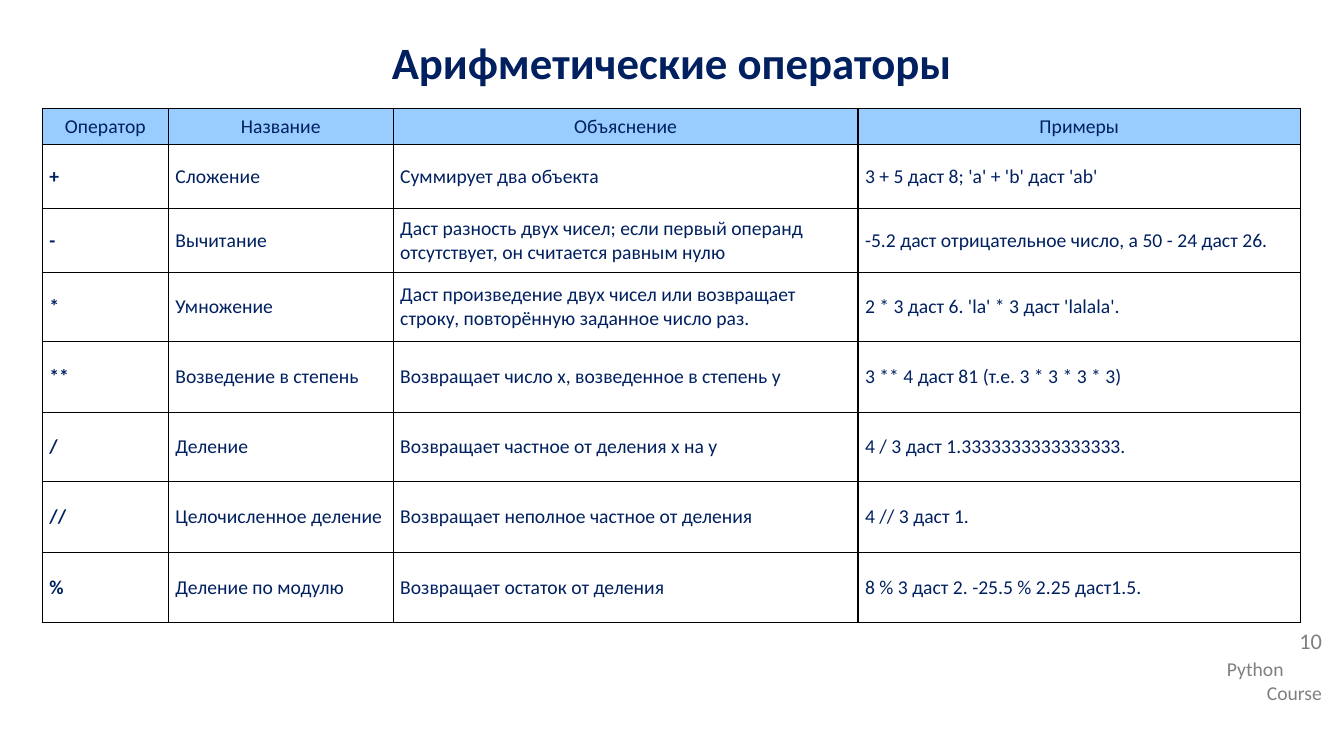
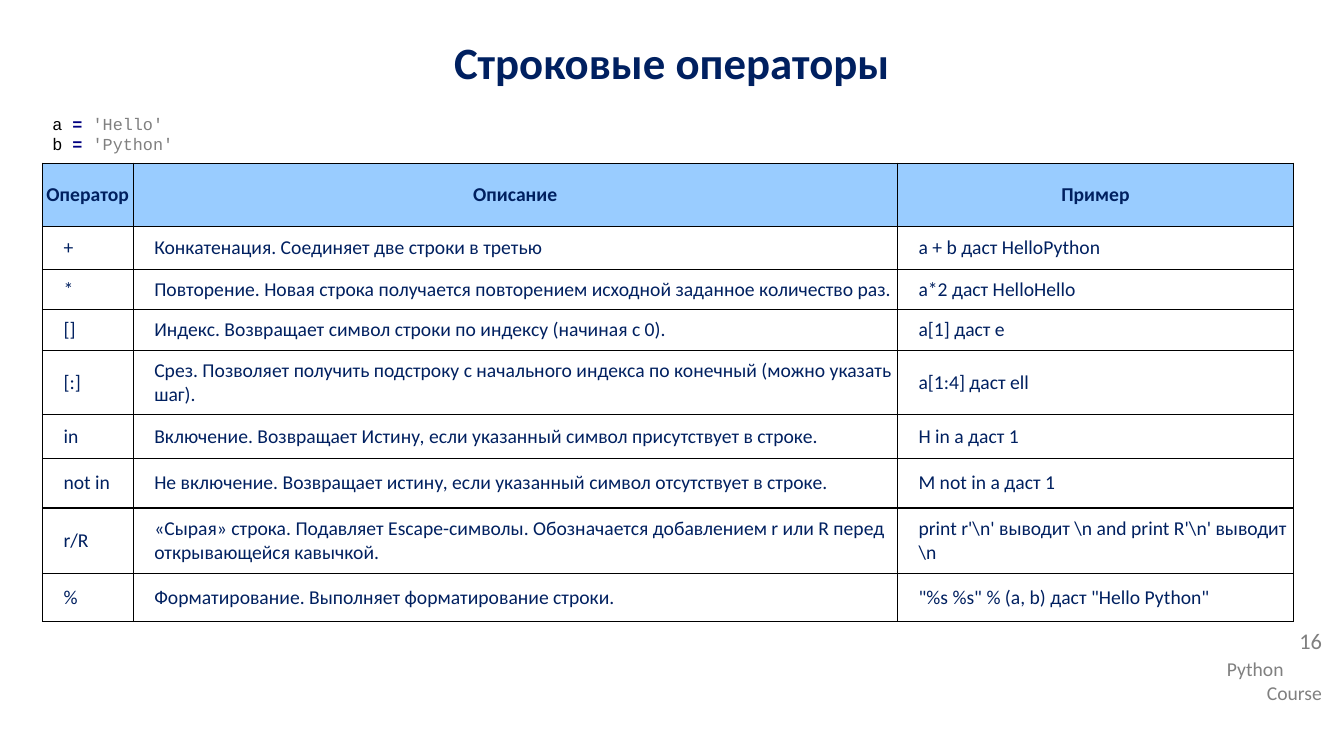
from dataclasses import dataclass

from lxml import etree
from pptx import Presentation
from pptx.dml.color import RGBColor
from pptx.enum.text import MSO_ANCHOR, PP_ALIGN
from pptx.oxml.ns import qn
from pptx.util import Pt

LEFT, MID, RIGHT = PP_ALIGN.LEFT, PP_ALIGN.CENTER, PP_ALIGN.RIGHT
TOP, HALF = MSO_ANCHOR.TOP, MSO_ANCHOR.MIDDLE
SCALE = 9144
WIDE, HIGH = 1333, 750


@dataclass(frozen=True)
class Theme:
    """Hold the colours, fonts and type sizes of the deck."""
    navy: str = "002060"
    grey: str = "808080"
    sky: str = "99CCFF"
    black: str = "000000"
    blue: str = "000080"
    sans: str = "Calibri"
    mono: str = "Courier New"
    head: int = 32
    page: int = 16
    body: int = 14
    code: int = 12
    rule: int = 1


THEME = Theme()

MATH = [
    ("Оператор", "Название", "Объяснение", "Примеры"),
    ("+", "Сложение", "Суммирует два объекта", "3 + 5 даст 8; 'a' + 'b' даст 'ab'"),
    ("-", "Вычитание",
     "Даст разность двух чисел; если первый операнд отсутствует, он считается равным нулю",
     "-5.2 даст отрицательное число, а 50 - 24 даст 26."),
    ("*", "Умножение",
     "Даст произведение двух чисел или возвращает строку, повторённую заданное число раз.",
     "2 * 3 даст 6. 'la' * 3 даст 'lalala'."),
    ("**", "Возведение в степень", "Возвращает число х, возведенное в степень y",
     "3 ** 4 даст 81 (т.е. 3 * 3 * 3 * 3)"),
    ("/", "Деление", "Возвращает частное от деления x на y",
     "4 / 3 даст 1.3333333333333333."),
    ("//", "Целочисленное деление", "Возвращает неполное частное от деления",
     "4 // 3 даст 1."),
    ("%", "Деление по модулю", "Возвращает остаток от деления",
     "8 % 3 даст 2. -25.5 % 2.25 даст1.5."),
]

TEXT = [
    ("Оператор", "Описание", "Пример"),
    ("+", "Конкатенация. Соединяет две строки в третью", "a + b даст HelloPython"),
    ("*", "Повторение. Новая строка получается повторением исходной заданное количество раз.",
     "a*2 даст HelloHello"),
    ("[]", "Индекс. Возвращает символ строки по индексу (начиная с 0).", "a[1] даст e"),
    ("[:]", "Срез. Позволяет получить подстроку с начального индекса по конечный "
     "(можно указать шаг).", "a[1:4] даст ell"),
    ("in", "Включение. Возвращает Истину, если указанный символ присутствует в строке.",
     "H in a даст 1"),
    ("not in", "Не включение. Возвращает истину, если указанный символ отсутствует в строке.",
     "M not in a даст 1"),
    ("r/R", "«Сырая» строка. Подавляет Escape-символы. Обозначается добавлением r или R "
     "перед открывающейся кавычкой.",
     r"print r'\n' выводит \n and print R'\n' выводит \n"),
    ("%", "Форматирование. Выполняет форматирование строки.",
     '"%s %s" % (a, b) даст "Hello Python"'),
]


def px(size):
    """Turn px into EMU."""
    return size * SCALE


def style(para, size, tint, face=THEME.sans, bold=False, align=LEFT):
    """Set the font and alignment of a paragraph."""
    para.alignment = align
    font = para.font
    font.name, font.size, font.bold = face, Pt(size), bold
    font.color.rgb = RGBColor.from_string(tint)


def add_box(slide, box, anchor=TOP):
    """Add a wrapped text box and return its frame."""
    frame = slide.shapes.add_textbox(*map(px, box)).text_frame
    frame.word_wrap = True
    frame.vertical_anchor = anchor
    return frame


def add_title(slide, box, text):
    """Place the slide title."""
    para = add_box(slide, box, HALF).paragraphs[0]
    para.text = text
    style(para, THEME.head, THEME.navy, bold=True, align=MID)
    para.space_before = para.space_after = Pt(5)


def add_foot(slide, box, page):
    """Place the page number and the course name below it."""
    left, top, width, _ = box
    para = add_box(slide, (left, top, width, 45)).paragraphs[0]
    para.text = str(page)
    style(para, THEME.page, THEME.grey, align=RIGHT)
    para.line_spacing = 0.9
    para.space_before = Pt(10)
    frame = add_box(slide, (left, top + 27, width, 57))
    frame.text = "Python\nCourse"
    for para, align in zip(frame.paragraphs, (LEFT, RIGHT)):
        style(para, THEME.body, THEME.grey, align=align)


def add_code(slide, box, lines):
    """Place the assignment lines with coloured parts."""
    frame = add_box(slide, box)
    for row, (name, value) in enumerate(lines):
        para = frame.add_paragraph() if row else frame.paragraphs[0]
        style(para, THEME.code, THEME.black, THEME.mono)
        parts = ((name + " ", THEME.black), ("= ", THEME.blue), (value, THEME.grey))
        for text, tint in parts:
            run = para.add_run()
            run.text = text
            run.font.color.rgb = RGBColor.from_string(tint)
            run.font.bold = tint == THEME.blue


def frame_cell(cell):
    """Draw the four borders of a cell."""
    props = cell._tc.get_or_add_tcPr()
    for side in ("lnL", "lnR", "lnT", "lnB"):
        line = etree.SubElement(props, qn("a:" + side), w=str(Pt(THEME.rule)))
        fill = etree.SubElement(line, qn("a:solidFill"))
        etree.SubElement(fill, qn("a:srgbClr"), val=THEME.black)


def fill_cell(cell, text, head, bold, pad, dent):
    """Write and style one table cell."""
    frame_cell(cell)
    cell.vertical_anchor = HALF
    cell.margin_left = cell.margin_right = px(pad)
    cell.margin_top = cell.margin_bottom = 0
    para = cell.text_frame.paragraphs[0]
    para.text = text
    style(para, THEME.body, THEME.navy, bold=bold, align=MID if head else LEFT)
    if head:
        cell.fill.solid()
        cell.fill.fore_color.rgb = RGBColor.from_string(THEME.sky)
    else:
        cell.fill.background()
        para._p.get_or_add_pPr().set("marL", str(px(dent)))


def add_grid(slide, spot, data, wide, high, strong, pad, dent=0):
    """Place a table; strong tells which cells are bold."""
    box = (*spot, sum(wide), sum(high))
    table = slide.shapes.add_table(len(high), len(wide), *map(px, box)).table
    table.first_row = table.horz_banding = False
    for col, width in zip(table.columns, wide):
        col.width = px(width)
    for row, height in zip(table.rows, high):
        row.height = px(height)
    for i, texts in enumerate(data):
        for j, text in enumerate(texts):
            fill_cell(table.cell(i, j), text, i == 0, strong(i, j), pad, dent)


def add_page(deck, title, page):
    """Add a blank slide with the shared title and footer."""
    slide = deck.slides.add_slide(deck.slide_layouts[6])
    add_foot(slide, (1207, 620, 114, 84), page)
    add_title(slide, (0, 23, WIDE, 76), title)
    return slide


def main():
    """Build and save the deck."""
    deck = Presentation()
    deck.slide_width, deck.slide_height = px(WIDE), px(HIGH)

    slide = add_page(deck, "Арифметические операторы", 10)
    add_grid(slide, (42, 108), MATH, (125, 223, 461, 439),
             (35, 64, 63, 69, 70, 69, 70, 70),
             lambda i, j: i > 0 and j == 0, pad=7)

    slide = add_page(deck, "Строковые операторы", 16)
    add_code(slide, (42, 108, 1249, 54), (("a", "'Hello'"), ("b", "'Python'")))
    add_grid(slide, (42, 162), TEXT, (90, 758, 393),
             (63, 42, 40, 41, 63, 44, 49, 65, 48),
             lambda i, j: i == 0, pad=1, dent=20)

    deck.save("out.pptx")


if __name__ == "__main__":
    main()
